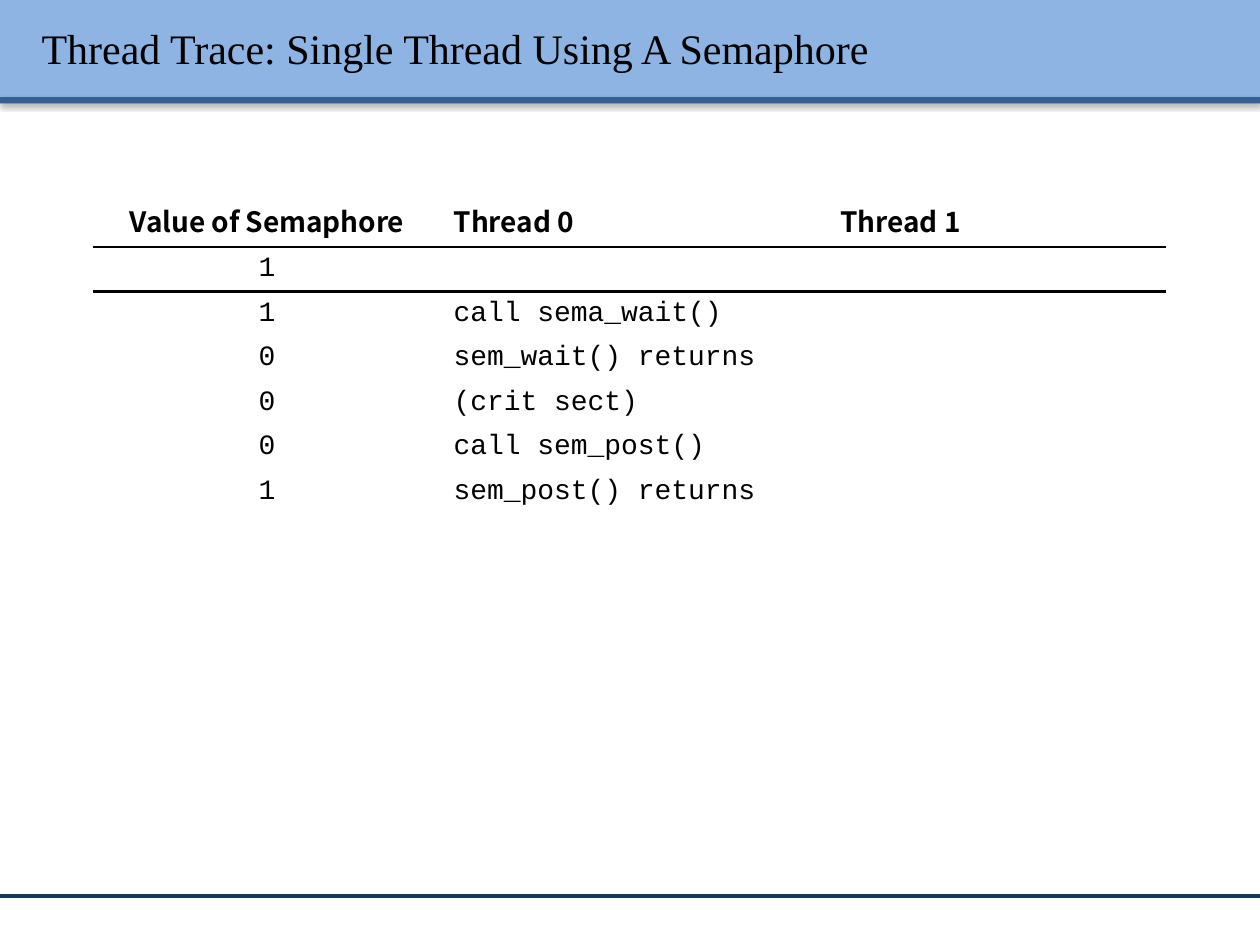
from lxml.etree import SubElement
from pptx import Presentation
from pptx.dml.color import RGBColor
from pptx.enum.shapes import MSO_CONNECTOR, MSO_SHAPE
from pptx.enum.text import MSO_ANCHOR, PP_ALIGN
from pptx.oxml.ns import qn
from pptx.util import Inches, Pt

BLACK = RGBColor(0x00, 0x00, 0x00)
WHITE = RGBColor(0xFF, 0xFF, 0xFF)
BAND_BLUE = RGBColor(0x8E, 0xB4, 0xE3)
STRIPE_BLUE = RGBColor(0x37, 0x60, 0x92)
FOOTER_BLUE = RGBColor(0x17, 0x37, 0x5E)

TITLE_FONT = "Times New Roman"
HEADER_FONT = "Noto Sans CJK KR"
CODE_FONT = "Courier New"

TITLE = "Thread Trace: Single Thread Using A Semaphore"
TRACE = [
    ("Value of Semaphore", "Thread 0", "Thread 1"),
    ("1", "", ""),
    ("1", "call sema_wait()", ""),
    ("0", "sem_wait() returns", ""),
    ("0", "(crit sect)", ""),
    ("0", "call sem_post()", ""),
    ("1", "sem_post() returns", ""),
]
COLUMN_SHARES = (2.76, 3.07, 2.68)
HEADER_HEIGHT = Inches(0.41)
# Rules under the header and under the initial state: (width, colour)
ROW_RULES = {0: (Pt(1.5), BLACK), 1: (Pt(2), BLACK)}
PLAIN_RULE = (Pt(1), WHITE)


def add_shadow(properties, blur, distance, angle, opacity):
    effects = SubElement(properties, qn("a:effectLst"))
    shadow = SubElement(effects, qn("a:outerShdw"), blurRad=str(blur), dist=str(distance),
                        dir=str(angle * 60000), algn="tl", rotWithShape="0")
    color = SubElement(shadow, qn("a:srgbClr"), val=str(BLACK))
    SubElement(color, qn("a:alpha"), val=str(opacity * 1000))


def add_band(slide, left, top, width, height, color):
    band = slide.shapes.add_shape(MSO_SHAPE.RECTANGLE, left, top, width, height)
    band.fill.solid()
    band.fill.fore_color.rgb = color
    band.line.fill.background()
    add_shadow(band._element.spPr, Pt(3.1), Pt(1.6), 90, 38)


def add_header(slide, left, top, width, height):
    stripe_height = Inches(0.05)
    band_height = height - stripe_height
    add_band(slide, left, top, width, band_height, BAND_BLUE)
    add_band(slide, left, top + band_height, width, stripe_height, STRIPE_BLUE)

    title = slide.shapes.title
    slide.shapes._spTree.append(title._element)  # bring in front of the band
    title.left, title.top = left + Inches(0.23), top + Inches(0.06)
    title.width, title.height = Inches(9.61), Inches(0.64)
    frame = title.text_frame
    frame.text = TITLE
    frame.word_wrap = True
    frame.vertical_anchor = MSO_ANCHOR.MIDDLE
    paragraph = frame.paragraphs[0]
    paragraph.alignment = PP_ALIGN.LEFT
    font = paragraph.font
    font.name, font.size = TITLE_FONT, Pt(24)
    font.color.rgb = BLACK
    add_shadow(paragraph.runs[0]._r.get_or_add_rPr(), Pt(3), Pt(1.5), 45, 43)


def add_footer_line(slide, left, top, width):
    line = slide.shapes.add_connector(MSO_CONNECTOR.STRAIGHT, left, top, left + width, top)
    line.line.color.rgb = FOOTER_BLUE
    line.line.width = Pt(2)
    SubElement(line._element.spPr, qn("a:effectLst"))


def set_borders(cell, above, below):
    properties = cell._tc.get_or_add_tcPr()
    sides = {"a:lnL": PLAIN_RULE, "a:lnR": PLAIN_RULE, "a:lnT": above, "a:lnB": below}
    for tag, (width, color) in sides.items():
        border = SubElement(properties, qn(tag), w=str(width))
        fill = SubElement(border, qn("a:solidFill"))
        SubElement(fill, qn("a:srgbClr"), val=str(color))


def fill_cell(cell, text, font_name, bold, alignment):
    cell.text = text
    paragraph = cell.text_frame.paragraphs[0]
    paragraph.alignment = alignment
    font = paragraph.font
    font.name, font.size, font.bold = font_name, Pt(16), bold
    font.color.rgb = BLACK
    if not text:  # keeps the empty line as tall as the others
        end = SubElement(paragraph._p, qn("a:endParaRPr"), sz="1600")
        SubElement(end, qn("a:latin"), typeface=font_name)


def add_trace_table(slide, left, top, width, height):
    shape = slide.shapes.add_table(len(TRACE), len(COLUMN_SHARES), left, top, width, height)
    table = shape.table
    table.horz_banding = False
    for column, share in zip(table.columns, COLUMN_SHARES):
        column.width = int(width * share / sum(COLUMN_SHARES))
    body_height = (height - HEADER_HEIGHT) // (len(TRACE) - 1)
    for row_index, texts in enumerate(TRACE):
        is_header = row_index == 0
        table.rows[row_index].height = HEADER_HEIGHT if is_header else body_height
        above = ROW_RULES.get(row_index - 1, PLAIN_RULE)
        below = ROW_RULES.get(row_index, PLAIN_RULE)
        for column_index, text in enumerate(texts):
            cell = table.cell(row_index, column_index)
            fill_cell(cell, text, HEADER_FONT if is_header else CODE_FONT, is_header,
                      PP_ALIGN.LEFT if column_index else PP_ALIGN.CENTER)
            set_borders(cell, above, below)
            cell.fill.solid()
            cell.fill.fore_color.rgb = WHITE


def main():
    presentation = Presentation()
    presentation.slide_width, presentation.slide_height = Inches(10), Inches(7.5)
    slide = presentation.slides.add_slide(presentation.slide_layouts[5])
    add_header(slide, 0, 0, presentation.slide_width, Inches(0.82))
    add_footer_line(slide, 0, Inches(7.11), presentation.slide_width)
    add_trace_table(slide, Inches(0.74), Inches(1.54), Inches(8.51), Inches(2.53))
    presentation.save("out.pptx")


if __name__ == "__main__":
    main()
